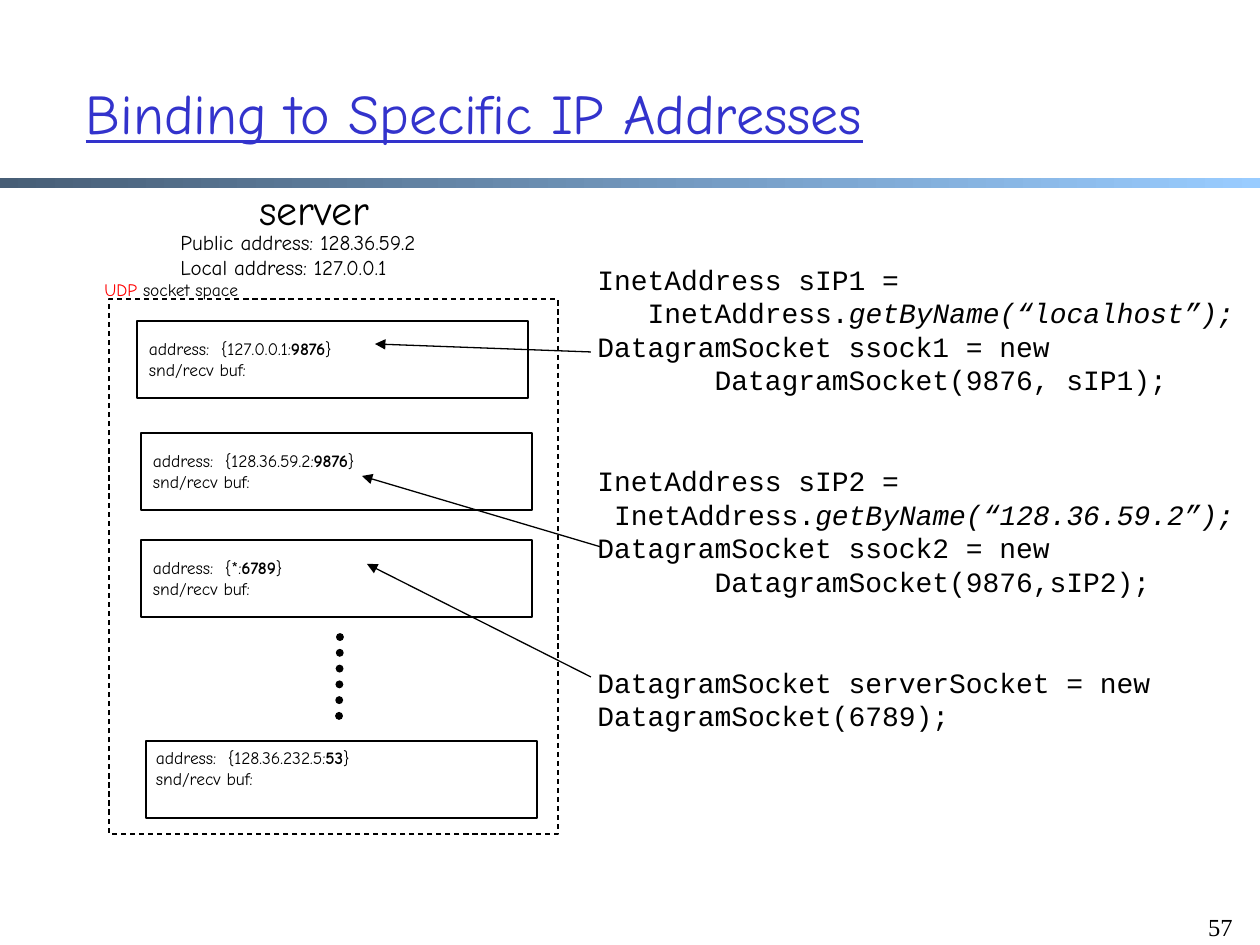
from dataclasses import dataclass

import pptx
import pptx.dml.color
import pptx.enum.dml
import pptx.enum.shapes
import pptx.enum.text
import pptx.oxml.xmlchemy
import pptx.util

ALIGN = pptx.enum.text.PP_ALIGN
ANCHOR = pptx.enum.text.MSO_ANCHOR
DASH = pptx.enum.dml.MSO_LINE
RECT = pptx.enum.shapes.MSO_SHAPE.RECTANGLE
LINE = pptx.enum.shapes.MSO_CONNECTOR.STRAIGHT


@dataclass(frozen=True)
class Theme:
    hand: str = "Comic Neue"
    mono: str = "Courier New"
    serif: str = "Times New Roman"
    ink: str = "000000"
    blue: str = "3333CC"
    red: str = "FF0000"
    bar: tuple[str, str] = ("475E76", "99CCFF")
    title: int = 32
    head: int = 24
    code: int = 16
    page: int = 14
    note: int = 12
    small: int = 10
    thin: float = 0.75
    dot: float = 4.5
    lead: float = 19.2


@dataclass(frozen=True)
class Box:
    left: int
    top: int
    wide: int
    high: int


@dataclass(frozen=True)
class Socket:
    left: int
    top: int
    host: str
    port: str
    anchor: ANCHOR = ANCHOR.MIDDLE
    inset: int = 12


@dataclass(frozen=True)
class Arrow:
    tip: tuple[int, int]
    tail: tuple[int, int]


THEME = Theme()
SOCKETS = [
    Socket(137, 321, "127.0.0.1", "9876"),
    Socket(141, 433, "128.36.59.2", "9876"),
    Socket(141, 540, "*", "6789"),
    Socket(146, 741, "128.36.232.5", "53", ANCHOR.TOP, 10),
]
ARROWS = [
    Arrow((375, 344), (591, 352)),
    Arrow((362, 476), (601, 547)),
    Arrow((367, 564), (591, 677)),
]
# Each code line is a plain part and an italic part.
CODE = [
    [("InetAddress sIP1 =", ""),
     ("   InetAddress.", "getByName(“localhost”);"),
     ("DatagramSocket ssock1 = new", ""),
     ("       DatagramSocket(9876, sIP1);", "")],
    [("InetAddress sIP2 =", ""),
     (" InetAddress.", "getByName(“128.36.59.2”);"),
     ("DatagramSocket ssock2 = new", ""),
     ("       DatagramSocket(9876,sIP2);", "")],
    [("DatagramSocket serverSocket = new DatagramSocket(6789);", "")],
]


def px(n: int) -> int:
    return round(n * 914400 / 126)


def rgb(code: str):
    return pptx.dml.color.RGBColor.from_string(code)


def node(tag: str, **attrs: str):
    item = pptx.oxml.xmlchemy.OxmlElement(tag)
    for key, value in attrs.items():
        item.set(key, value)
    return item


def place(shape, box: Box) -> None:
    shape.left, shape.top = px(box.left), px(box.top)
    shape.width, shape.height = px(box.wide), px(box.high)


def style(font, face: str, size: int, color: str = THEME.ink) -> None:
    font.name = face
    font.size = pptx.util.Pt(size)
    font.color.rgb = rgb(color)


def add_run(para, text: str, face: str, size: int, color: str = THEME.ink):
    run = para.add_run()
    run.text = text
    style(run.font, face, size, color)
    return run


def add_text(slide, box: Box, text: str, face: str, size: int,
             align=ALIGN.LEFT, anchor=ANCHOR.TOP):
    shape = slide.shapes.add_textbox(0, 0, 0, 0)
    place(shape, box)
    frame = shape.text_frame
    frame.word_wrap = True
    frame.vertical_anchor = anchor
    frame.text = text
    for para in frame.paragraphs:
        para.alignment = align
        for run in para.runs:
            style(run.font, face, size)
    return frame


def add_rect(slide, box: Box):
    shape = slide.shapes.add_shape(RECT, 0, 0, 0, 0)
    place(shape, box)
    shape.shadow.inherit = False
    shape.fill.background()
    shape.line.color.rgb = rgb(THEME.ink)
    shape.line.width = pptx.util.Pt(THEME.thin)
    return shape


def add_line(slide, start: tuple[int, int], end: tuple[int, int], width: float):
    line = slide.shapes.add_connector(LINE, *map(px, start + end))
    line.line.color.rgb = rgb(THEME.ink)
    line.line.width = pptx.util.Pt(width)
    line._element.spPr.append(node("a:effectLst"))
    return line


def add_arrow(slide, arrow: Arrow) -> None:
    line = add_line(slide, arrow.tip, arrow.tail, THEME.thin)
    line.line._get_or_add_ln().append(node("a:headEnd", type="triangle"))


def add_socket(slide, sock: Socket) -> None:
    shape = add_rect(slide, Box(sock.left, sock.top, 391, 77))
    frame = shape.text_frame
    frame.vertical_anchor = sock.anchor
    frame.margin_left = px(sock.inset)
    first, second = frame.paragraphs[0], frame.add_paragraph()
    first.alignment = second.alignment = ALIGN.LEFT
    tabs = node("a:tabLst")
    tabs.append(node("a:tab", pos=str(px(72)), algn="l"))
    first._p.get_or_add_pPr().append(tabs)
    add_run(first, f"address:\t{{{sock.host}:", THEME.hand, THEME.small)
    add_run(first, sock.port, THEME.hand, THEME.small).font.bold = True
    add_run(first, "}", THEME.hand, THEME.small)
    add_run(second, "snd/recv buf:", THEME.hand, THEME.small)


def add_code(slide, box: Box) -> None:
    frame = add_text(slide, box, "", THEME.mono, THEME.code)
    para = frame.paragraphs[0]
    for b, block in enumerate(CODE):
        for n, (plain, slant) in enumerate(block):
            if b or n:
                para = frame.add_paragraph()
            para.line_spacing = pptx.util.Pt(THEME.lead)
            if b and not n:
                para.space_before = pptx.util.Pt(2 * THEME.lead)
            add_run(para, plain, THEME.mono, THEME.code)
            if slant:
                add_run(para, slant, THEME.mono, THEME.code).font.italic = True


def main() -> None:
    deck = pptx.Presentation()
    deck.slide_width, deck.slide_height = px(1260), px(945)
    slide = deck.slides.add_slide(deck.slide_layouts[5])

    # Title and rule
    bar = add_rect(slide, Box(0, 178, 1260, 10))
    bar.line.fill.background()
    bar.fill.gradient()
    bar.fill.gradient_angle = 0
    for stop, color in zip(bar.fill.gradient_stops, THEME.bar):
        stop.color.rgb = rgb(color)
    title = slide.shapes.title
    place(title, Box(73, 33, 1139, 158))
    title.text_frame.text = "Binding to Specific IP Addresses"
    title.text_frame.vertical_anchor = ANCHOR.MIDDLE
    para = title.text_frame.paragraphs[0]
    para.alignment = ALIGN.LEFT
    style(para.runs[0].font, THEME.hand, THEME.title, THEME.blue)
    para.runs[0].font.underline = True

    # Server heading
    add_text(slide, Box(242, 177, 144, 63), "server", THEME.hand, THEME.head,
             ALIGN.CENTER, ANCHOR.MIDDLE)
    add_text(slide, Box(168, 223, 296, 64),
             "Public address: 128.36.59.2\nLocal address: 127.0.0.1",
             THEME.hand, THEME.note)

    # Socket space
    add_rect(slide, Box(109, 299, 449, 535)).line.dash_style = DASH.DASH
    label = add_text(slide, Box(92, 273, 170, 34), "", THEME.hand, THEME.small)
    add_run(label.paragraphs[0], "UDP", THEME.hand, THEME.small, THEME.red)
    add_run(label.paragraphs[0], " socket space", THEME.hand, THEME.small)
    for sock in SOCKETS:
        add_socket(slide, sock)
    dots = add_line(slide, (340, 637), (339, 722), THEME.dot)
    dots.line.dash_style = DASH.ROUND_DOT
    dots.line._get_or_add_ln().set("cap", "rnd")

    # Code and its arrows
    add_code(slide, Box(585, 256, 675, 488))
    for arrow in ARROWS:
        add_arrow(slide, arrow)

    # Page number
    add_text(slide, Box(1182, 906, 63, 39), "57", THEME.serif, THEME.page, ALIGN.RIGHT)
    deck.save("out.pptx")


if __name__ == "__main__":
    main()
